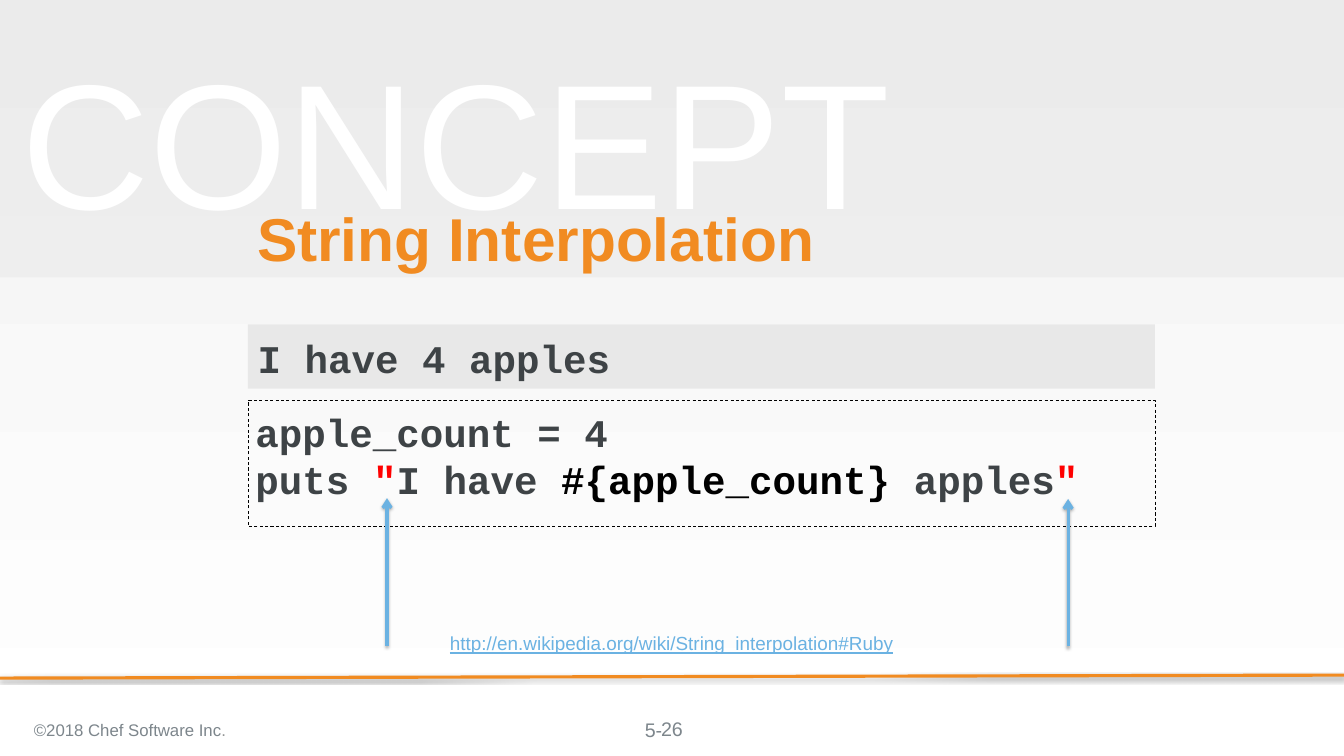
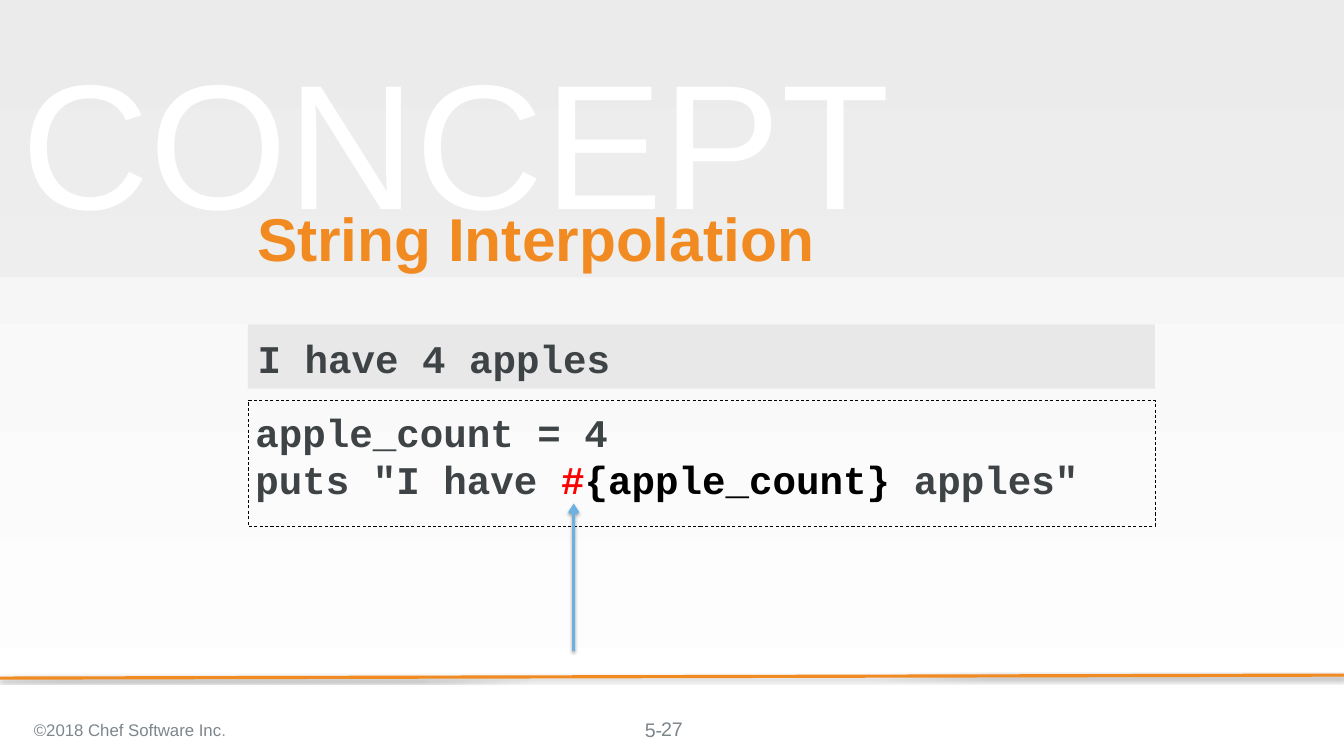
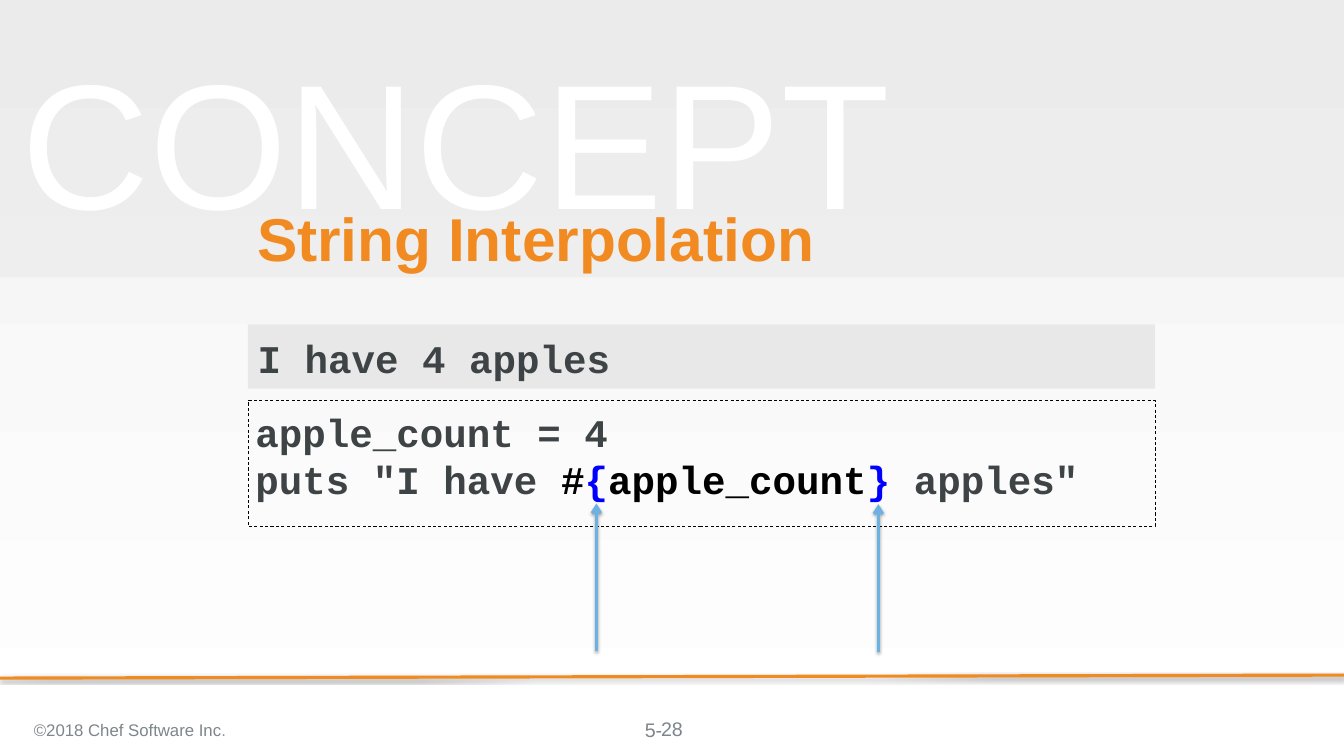
from lxml.etree import SubElement, Element
from pptx import Presentation
from pptx.dml.color import RGBColor
from pptx.enum.dml import MSO_LINE
from pptx.enum.shapes import MSO_CONNECTOR, MSO_SHAPE
from pptx.enum.text import MSO_ANCHOR, MSO_AUTO_SIZE, PP_ALIGN
from pptx.oxml.ns import qn
from pptx.util import Inches, Pt

# Shared look
SANS, MONO = "Arial", "Courier New"
ORANGE, BLUE_LINE, GREY_TEXT = "F18B21", "6BB2E2", "7D868C"
DARK, BLACK, RED, BLUE = "3E4346", "000000", "FF0000", "0000FF"
PALE, PANEL, WHITE = "F2F2F2", "D9D9D9", "FFFFFF"
CODE_SIZE = 37.3
ARROW_LENGTH = 1.95

# Content
TITLE = "String Interpolation"
OUTPUT = "I have 4 apples"
FIRST_LINE = [("apple_count = 4", DARK)]
COPYRIGHT = [("©2018 Chef Software Inc", GREY_TEXT), (".", "929494")]
LINK = "http://en.wikipedia.org/wiki/String_interpolation#Ruby"

SLIDES = [
    {
        "number": "26",
        "code": [("puts ", DARK), ('"', RED), ("I have ", DARK),
                 ("#{apple_count} ", BLACK), ("apples", DARK), ('"', RED)],
        "arrow_tips": [(5.12, 6.59), (14.13, 6.6)],
        "link": LINK,
    },
    {
        "number": "27",
        "code": [('puts "I have ', DARK), ("#", RED),
                 ("{apple_count} ", BLACK), ('apples"', DARK)],
        "arrow_tips": [(7.59, 6.66)],
    },
    {
        "number": "28",
        "code": [('puts "I have ', DARK), ("#", BLACK), ("{", BLUE),
                 ("apple_count", BLACK), ("} ", BLUE), ('apples"', DARK)],
        "arrow_tips": [(7.89, 6.66), (11.62, 6.67)],
    },
]


def colour(value):
    return RGBColor.from_string(value)


def set_alpha(shape, percent):
    """Make the first colour of a shape partly transparent."""
    tint = next(shape.element.iter(qn("a:srgbClr")))
    SubElement(tint, qn("a:alpha"), val=str(percent * 1000))


def place(shape, left, top, width, height):
    shape.left, shape.top = Inches(left), Inches(top)
    shape.width, shape.height = Inches(width), Inches(height)


def write(shape, lines, size, font=SANS, bold=False, anchor=MSO_ANCHOR.TOP,
          align=PP_ALIGN.LEFT, inset=0.1, inset_top=None):
    """Fill a shape with lines, each a list of (text, colour) spans."""
    frame = shape.text_frame
    frame.word_wrap = True
    frame.auto_size = MSO_AUTO_SIZE.NONE
    frame.vertical_anchor = anchor
    frame.margin_left = frame.margin_right = Inches(inset)
    frame.margin_bottom = Inches(inset)
    frame.margin_top = Inches(inset if inset_top is None else inset_top)
    for index, spans in enumerate(lines):
        para = frame.add_paragraph() if index else frame.paragraphs[0]
        para.alignment = align
        para.space_before = Pt(0)
        para.font.name, para.font.size, para.font.bold = font, Pt(size), bold
        for text, tint in spans:
            span = para.add_run()
            span.text = text
            span.font.color.rgb = colour(tint)
    return frame.paragraphs[0]


def add_text(page, area, spans, size, **style):
    box = page.shapes.add_textbox(*map(Inches, area))
    write(box, [spans], size, **style)
    return box


def add_panel(page, area, alpha):
    panel = page.shapes.add_shape(MSO_SHAPE.RECTANGLE, *map(Inches, area))
    panel.shadow.inherit = False
    panel.fill.solid()
    panel.fill.fore_color.rgb = colour(PANEL)
    set_alpha(panel, alpha)
    panel.line.fill.background()
    return panel


def add_line(page, start, end, tint, arrow=False):
    line = page.shapes.add_connector(MSO_CONNECTOR.STRAIGHT,
                                     *map(Inches, start + end))
    line.line.color.rgb = colour(tint)
    line.line.width = Pt(3)
    properties = line.element.spPr
    if arrow:
        SubElement(properties.find(qn("a:ln")), qn("a:tailEnd"), type="arrow")
    effects = SubElement(properties, qn("a:effectLst"))
    shadow = SubElement(effects, qn("a:outerShdw"), blurRad=str(Pt(3.1)),
                        dist=str(Pt(1.8)), dir="5400000", rotWithShape="0")
    tint_element = SubElement(shadow, qn("a:srgbClr"), val=BLACK)
    SubElement(tint_element, qn("a:alpha"), val="35000")


def add_backdrop(page, number):
    """Top band, large word, rule and footer."""
    add_panel(page, (0, 0, 17.78, 3.67), 25)
    word = add_text(page, (0.15, 0.53, 12.64, 2.6), [("CONCEPT", PALE)], 169.3,
                    anchor=MSO_ANCHOR.MIDDLE, inset=0.13)
    set_alpha(word, 50)
    outline = Element(qn("a:ln"), w=str(Pt(1.45)))
    fill = SubElement(outline, qn("a:solidFill"))
    SubElement(fill, qn("a:srgbClr"), val=WHITE)
    next(word.element.iter(qn("a:rPr"))).insert(0, outline)

    add_line(page, (17.78, 8.93), (0, 8.97), ORANGE)
    prefix = add_text(page, (8.49, 9.49, 0.8, 0.31), [("5-", GREY_TEXT)], 18.7,
                      inset=0)
    prefix.text_frame.margin_left = Inches(0.04)
    add_text(page, (0.35, 9.38, 6.21, 0.56), COPYRIGHT, 16,
             anchor=MSO_ANCHOR.MIDDLE)
    add_text(page, (6.89, 9.38, 4, 0.53), [(number, GREY_TEXT)], 18.7,
             anchor=MSO_ANCHOR.MIDDLE, align=PP_ALIGN.CENTER)


def add_page(deck, content):
    page = deck.slides.add_slide(deck.slide_layouts[0])
    title, code = page.placeholders[0], page.placeholders[1]
    add_backdrop(page, content["number"])

    # Title and code go in front of the backdrop
    for holder in (title, code):
        holder.element.getparent().append(holder.element)
    place(title, 3.3, 2.73, 12, 0.93)
    heading = write(title, [[(TITLE, ORANGE)]], 57.6, bold=True,
                    anchor=MSO_ANCHOR.MIDDLE)
    heading.line_spacing = 0.9
    place(code, 3.28, 5.3, 12, 1.66)
    code.line.color.rgb = colour(BLACK)
    code.line.width = Pt(0.75)
    code.line.dash_style = MSO_LINE.DASH
    write(code, [FIRST_LINE, content["code"]], CODE_SIZE, font=MONO, bold=True)

    # Printed result
    result = add_panel(page, (3.28, 4.29, 12, 0.85), 50)
    write(result, [[(OUTPUT, DARK)]], CODE_SIZE, font=MONO, bold=True,
          inset=0.13)

    # Link and pointers
    if "link" in content:
        link = add_text(page, (4.01, 8.36, 9.75, 0.57),
                        [(content["link"], BLUE_LINE)], 18,
                        align=PP_ALIGN.CENTER, inset_top=0)
        link.text_frame.paragraphs[0].font.underline = True
    for x, y in content["arrow_tips"]:
        add_line(page, (x, y + ARROW_LENGTH), (x, y), BLUE_LINE, arrow=True)


def main():
    deck = Presentation()
    deck.slide_width, deck.slide_height = Inches(17.78), Inches(10)

    # Background shared by all slides
    fill = deck.slide_master.background.fill
    fill.gradient()
    fill.gradient_angle = 270
    for stop, position, tint in zip(fill.gradient_stops, (0, 1), (PALE, WHITE)):
        stop.position = position
        stop.color.rgb = colour(tint)

    for content in SLIDES:
        add_page(deck, content)
    deck.save("out.pptx")


if __name__ == "__main__":
    main()
